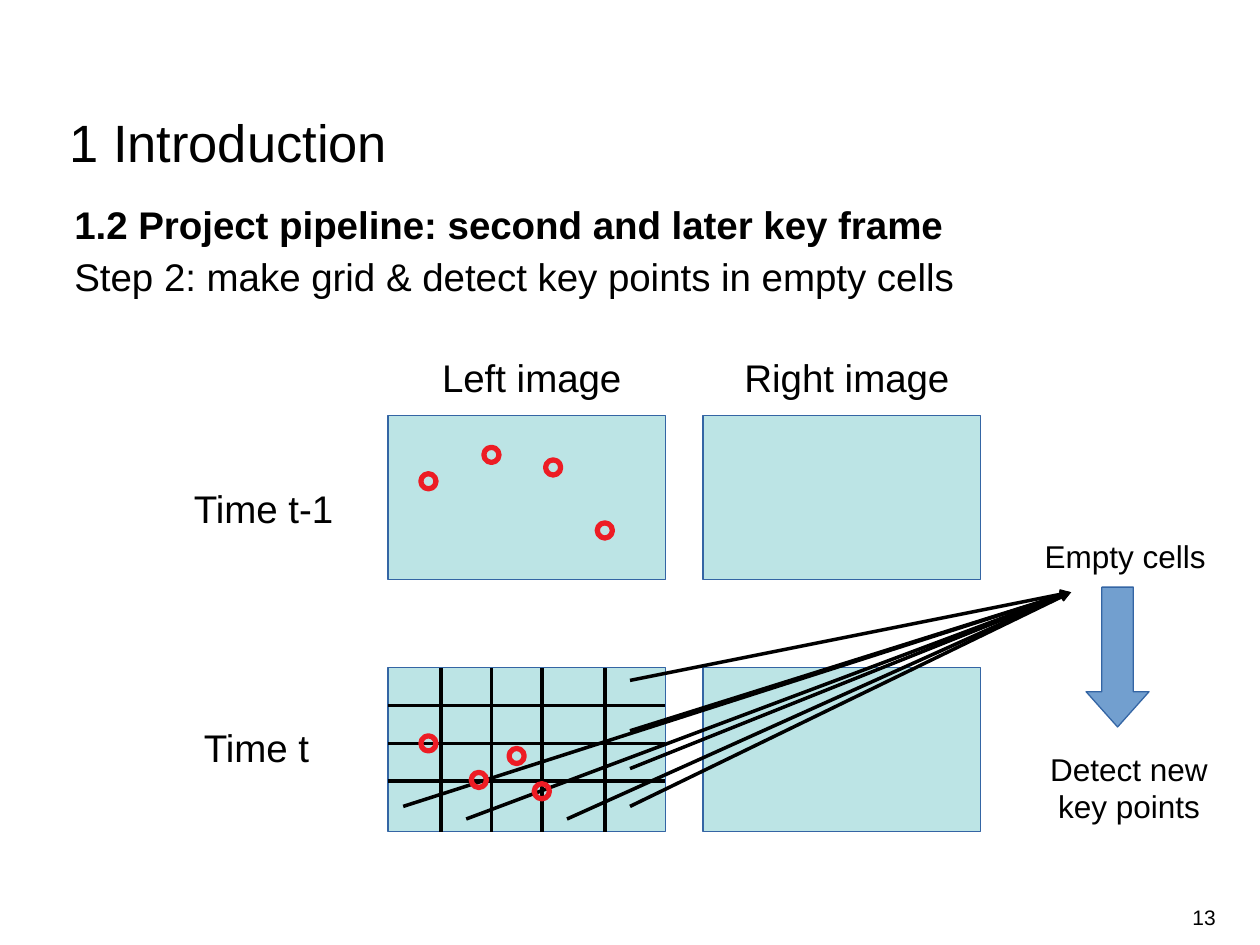
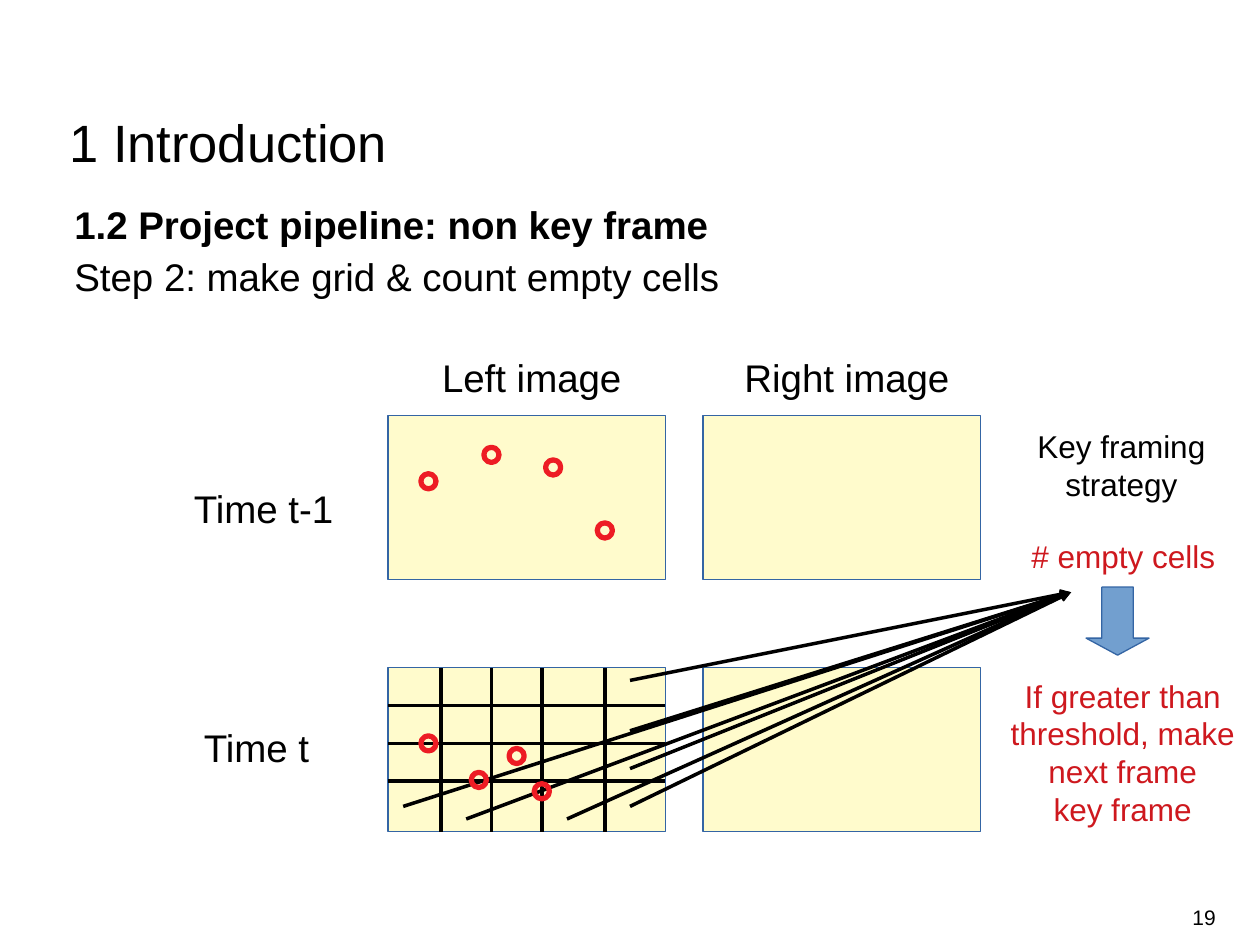
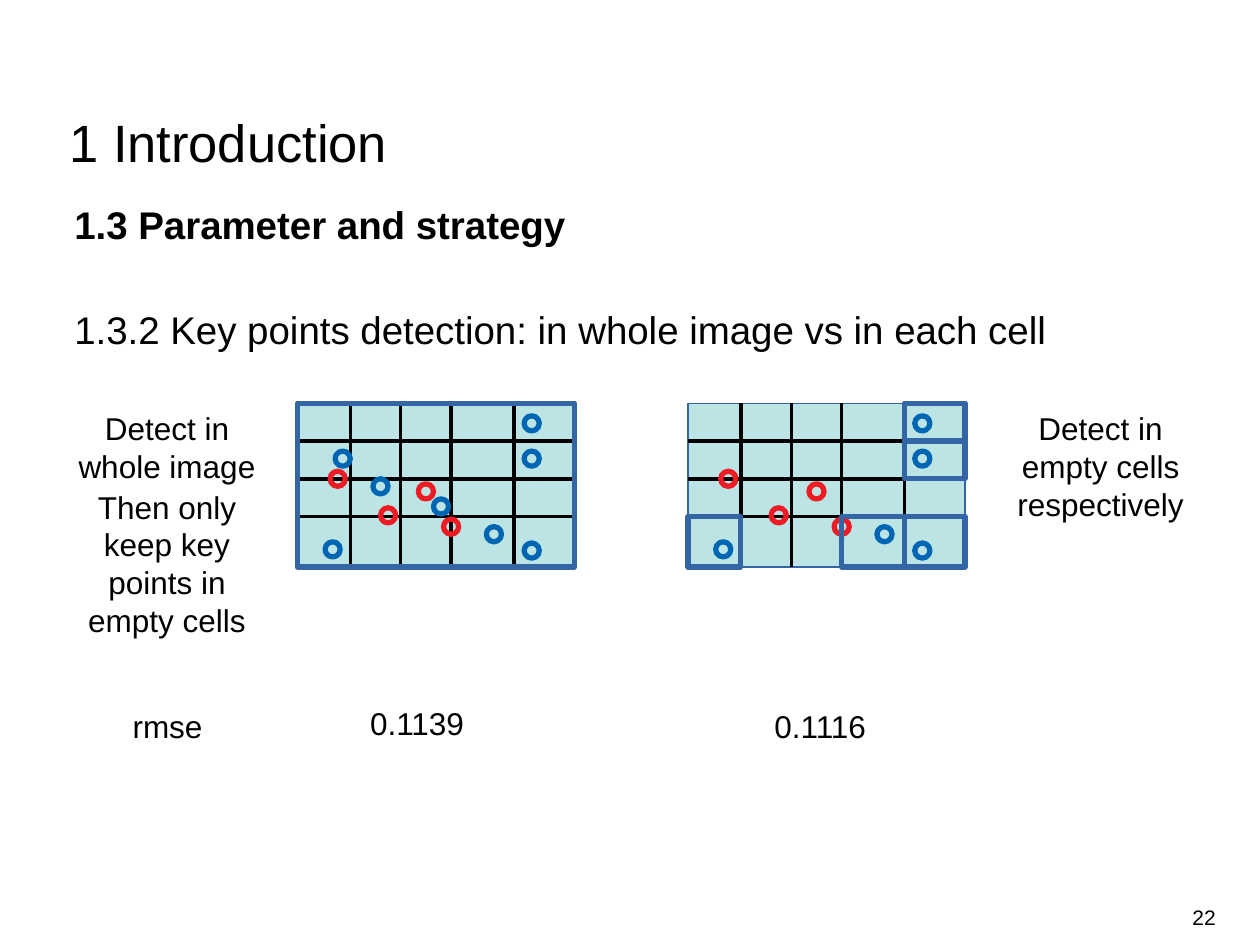
from lxml.etree import SubElement
from pptx import Presentation
from pptx.dml.color import RGBColor
from pptx.enum.shapes import MSO_CONNECTOR as Link, MSO_SHAPE as Kind
from pptx.enum.text import MSO_ANCHOR as Anchor, MSO_AUTO_SIZE as Fit, PP_ALIGN as Align
from pptx.oxml.ns import qn
from pptx.util import Inches, Pt

FONT = "Arial"
BLACK, DARK, RED = "000000", "CE181E", "ED1C24"
EDGE, BLUE, ARROW = "3465A4", "0066B3", "729FCF"
AQUA, CREAM = "BCE4E5", "FFFBCC"

TITLE = "1 Introduction"
SIZE = 2.2, 1.3
RING = 0.12
COLS = [0, 0.42, 0.82, 1.22, 1.72, 2.2]
ROWS = [0, 0.3, 0.6, 0.9, 1.3]

# Ring places are offsets from the corner of their panel.
BEFORE = [(0.26, 0.46), (0.76, 0.25), (1.25, 0.35), (1.66, 0.85)]
AFTER = [(0.26, 0.54), (0.66, 0.83), (0.96, 0.64), (1.16, 0.92)]
FOUND = [(0.22, 1.1), (1.8, 0.1), (1.5, 0.98), (1.8, 1.11), (1.8, 0.38)]
EXTRA = [(1.08, 0.76), (0.3, 0.38), (0.6, 0.6)]
EMPTY = [(0, 3), (3, 3), (4, 0), (4, 1), (4, 3)]

LEFT, RIGHT = 3.08, 5.58
UPPER, LOWER = 3.3, 5.3
TIP = 8.5, 4.7
TAILS = [(5, 5.4), (5, 5.8), (5, 6.1), (5, 6.4), (4.5, 6.5), (3.7, 6.5), (3.2, 6.4)]
NAMES = [
    ("Left image", 3.41, 2.76, 1.62, 0.44),
    ("Right image", 5.81, 2.76, 1.83, 0.44),
    ("Time t-1", 1.44, 3.8, 1.32, 0.44),
    ("Time t", 1.52, 5.7, 1.03, 0.44),
]

FRAMES = [
    {
        "page": "13", "fill": AQUA, "arrow": (1.11, 0.56),
        "body": ["1.2 Project pipeline: second and later key frame",
                 "Step 2: make grid & detect key points in empty cells"],
        "notes": [("Empty cells", 8.19, 4.21, 1.48, 0.38, BLACK),
                  ("Detect new\nkey points", 8.2, 5.9, 1.52, 0.66, BLACK)],
    },
    {
        "page": "19", "fill": CREAM, "arrow": (0.54, 0.27),
        "body": ["1.2 Project pipeline: non key frame",
                 "Step 2: make grid & count empty cells"],
        "notes": [("# empty cells", 7.95, 4.21, 1.93, 0.38, DARK),
                  ("If greater than\nthreshold, make\nnext frame\nkey frame",
                   7.92, 5.32, 1.98, 1.22, DARK),
                  ("Key framing\nstrategy", 8, 3.34, 1.8, 0.66, BLACK)],
    },
]

COMPARE = {
    "page": "22",
    "body": ["1.3 Parameter and strategy",
             "1.3.2 Key points detection: in whole image vs in each cell"],
    "notes": [("rmse", 0.48, 5.56, 1.7, 0.38),
              ("0.1139", 2.76, 5.54, 1.1, 0.38),
              ("0.1116", 5.96, 5.56, 1.1, 0.38),
              ("Detect in whole image", 0.47, 3.2, 1.71, 0.66),
              ("Then only keep key points in empty cells", 0.47, 3.82, 1.71, 1.22),
              ("Detect in empty cells respectively", 7.88, 3.2, 1.71, 0.94)],
    "whole": (2.36, 3.2), "cells": (5.46, 3.2),
}


def color(code):
    return RGBColor.from_string(code)


def place(shape, *box):
    shape.left, shape.top, shape.width, shape.height = map(Inches, box)


def write(par, text, size, ink=BLACK, bold=False):
    run = par.add_run()
    run.text = text
    font = run.font
    font.name, font.size, font.bold = FONT, Pt(size), bold
    font.color.rgb = color(ink)


def trim(frame, x=0, y=0):
    frame.margin_left = frame.margin_right = Inches(x)
    frame.margin_top = frame.margin_bottom = Inches(y)
    frame.auto_size = Fit.NONE


def label(slide, text, x, y, w, h, size=18, ink=BLACK, align=Align.CENTER, wrap=True, pad=0.1):
    frame = slide.shapes.add_textbox(*map(Inches, (x, y, w, h))).text_frame
    trim(frame, pad, 0.05)
    frame.word_wrap = wrap
    for i, line in enumerate(text.split("\n")):
        par = frame.add_paragraph() if i else frame.paragraphs[0]
        par.alignment = align
        write(par, line, size, ink)
    return frame


def shape(shapes, kind, x, y, w, h, fill=None, edge=EDGE, width=0):
    item = shapes.add_shape(kind, *map(Inches, (x, y, w, h)))
    item.shadow.inherit = False
    if fill:
        item.fill.solid()
        item.fill.fore_color.rgb = color(fill)
    else:
        item.fill.background()
    item.line.color.rgb = color(edge)
    item.line.width = Pt(width)
    return item


def line(slide, start, end, head=False):
    item = slide.shapes.add_connector(Link.STRAIGHT, *map(Inches, (*start, *end)))
    item.line.color.rgb = color(BLACK)
    item.line.width = Pt(0)
    if head:
        SubElement(item.line._get_or_add_ln(), qn("a:tailEnd"), type="triangle")
    SubElement(item._element.spPr, qn("a:effectLst"))


def panel(slide, x, y, fill):
    shape(slide.shapes, Kind.RECTANGLE, x, y, *SIZE, fill)


def grid(slide, x, y):
    w, h = SIZE
    for row in ROWS[1:-1]:
        line(slide, (x, y + row), (x + w, y + row))
    for col in COLS[1:-1]:
        line(slide, (x + col, y), (x + col, y + h))


def rings(slide, x, y, spots, ink):
    group = slide.shapes.add_group_shape()
    for dx, dy in spots:
        shape(group.shapes, Kind.OVAL, x + dx, y + dy, RING, RING, edge=ink, width=3)


def start(deck, data, gap=0):
    """Add a slide with title, body and page number; gap is in points before body text."""
    slide = deck.slides.add_slide(deck.slide_layouts[1])
    title, body = slide.placeholders
    place(title, 0.55, 0.93, 6.85, 0.45)
    place(body, 0.59, 1.54, 8.85, 4.87)
    for item in (title, body):
        trim(item.text_frame)
        item.text_frame.vertical_anchor = Anchor.TOP
    par = title.text_frame.paragraphs[0]
    par.alignment, par.line_spacing = Align.LEFT, Pt(32)
    write(par, TITLE, 30)
    for i, text in enumerate(data["body"]):
        par = body.text_frame.add_paragraph() if i else body.text_frame.paragraphs[0]
        props = par._p.get_or_add_pPr()
        props.set("marL", "0")
        props.set("indent", "0")
        SubElement(props, qn("a:buNone"))
        par.line_spacing = 1.14
        par.space_before = Pt(gap if i else 0)
        write(par, text, 22, bold=i == 0)
    page = label(slide, data["page"], 7.41, 7.08, 2.24, 0.4, 12, align=Align.RIGHT, pad=0)
    page.vertical_anchor = Anchor.MIDDLE
    return slide


def draw_frame(deck, data):
    slide = start(deck, data)
    for y in (UPPER, LOWER):
        for x in (LEFT, RIGHT):
            panel(slide, x, y, data["fill"])
    for name in NAMES:
        label(slide, *name, size=22, align=Align.LEFT, wrap=False)
    grid(slide, LEFT, LOWER)
    for tail in TAILS:
        line(slide, tail, TIP, head=True)
    for *note, ink in data["notes"]:
        label(slide, *note, ink=ink, wrap=False)
    tall, head = data["arrow"]
    arrow = shape(slide.shapes, Kind.DOWN_ARROW, 8.62, 4.66, 0.5, tall, ARROW)
    arrow.adjustments[1] = head
    rings(slide, LEFT, UPPER, BEFORE, RED)
    rings(slide, LEFT, LOWER, AFTER, RED)


def draw_compare(deck, data):
    slide = start(deck, data, gap=30)
    for note in data["notes"]:
        label(slide, *note)
    whole, cells = data["whole"], data["cells"]
    for spot, found in ((whole, FOUND + EXTRA), (cells, FOUND)):
        panel(slide, *spot, AQUA)
        grid(slide, *spot)
        rings(slide, *spot, AFTER, RED)
        rings(slide, *spot, found, BLUE)
    x, y = cells
    boxes = [(x + COLS[c], y + ROWS[r], COLS[c + 1] - COLS[c], ROWS[r + 1] - ROWS[r])
             for c, r in EMPTY]
    for box in boxes + [(*whole, *SIZE)]:
        shape(slide.shapes, Kind.RECTANGLE, *box, width=3)


def main():
    deck = Presentation()
    deck.slide_width, deck.slide_height = Inches(10), Inches(7.5)
    for data in FRAMES:
        draw_frame(deck, data)
    draw_compare(deck, COMPARE)
    deck.save("out.pptx")


if __name__ == "__main__":
    main()
